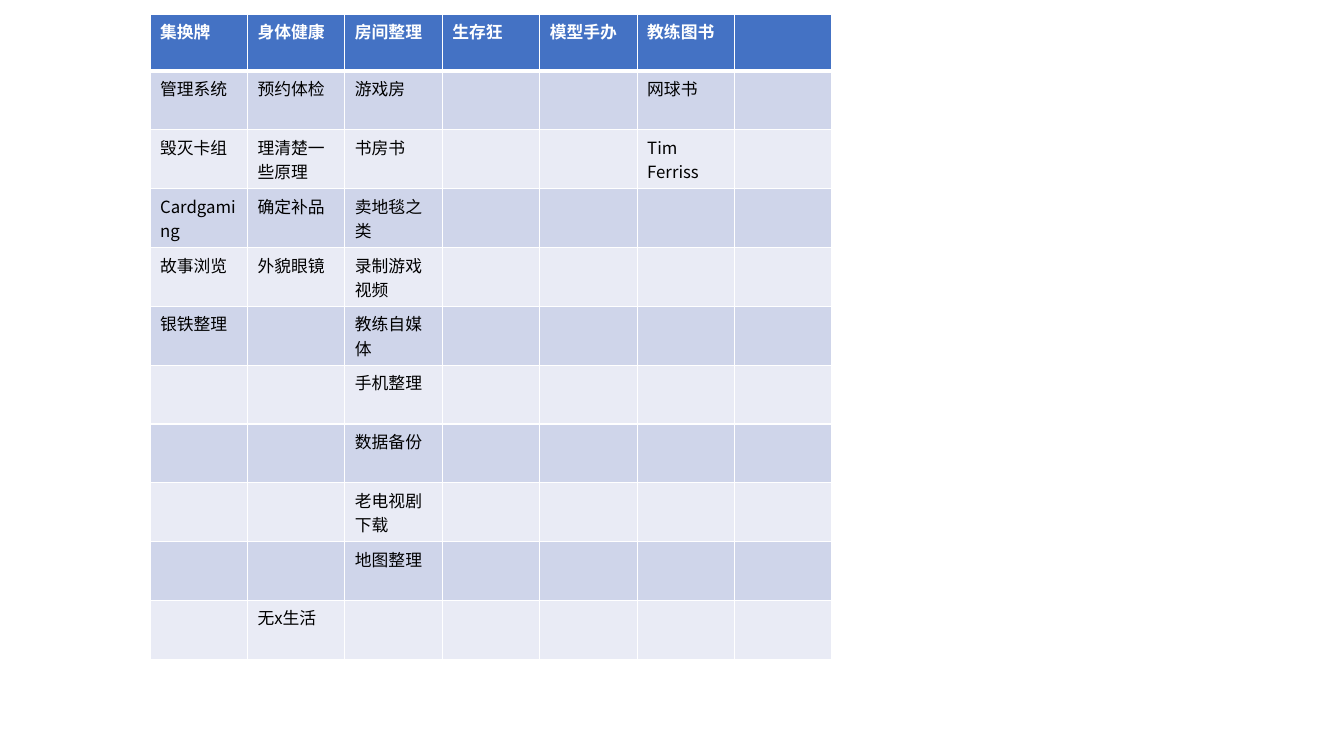
from lxml import etree
from pptx import Presentation
from pptx import util as u
from pptx.dml.color import RGBColor
from pptx.oxml.ns import qn

SCALE = 914400 / 100.8
FONT = "Noto Sans CJK SC"
WHITE = RGBColor(0xFF, 0xFF, 0xFF)
BLACK = RGBColor(0x00, 0x00, 0x00)
HEADER_BLUE = RGBColor(0x44, 0x72, 0xC4)
BANDS = [RGBColor(0xE9, 0xEB, 0xF5), RGBColor(0xCF, 0xD5, 0xEA)]

HEADER_FORMAT = {"name": FONT, "size": u.Pt(12), "bold": True}
BODY_FORMAT = {"name": FONT, "size": u.Pt(12), "bold": False}

LEFT, TOP, WIDTH = 150, 14, 682
HEADER_HEIGHT, BODY_HEIGHT = 57, 588

# Each list is one column: its heading, then its entries from the top down.
TASK_COLUMNS = [
    ["集换牌", "管理系统", "毁灭卡组", "Cardgaming", "故事浏览", "银铁整理"],
    ["身体健康", "预约体检", "理清楚一些原理", "确定补品", "外貌眼镜",
     "", "", "", "", "", "无x生活"],
    ["房间整理", "游戏房", "书房书", "卖地毯之类", "录制游戏视频", "教练自媒体",
     "手机整理", "数据备份", "老电视剧下载", "地图整理"],
    ["生存狂"],
    ["模型手办"],
    ["教练图书", "网球书", "Tim Ferriss"],
    [],
]
ROW_COUNT = max(len(entries) for entries in TASK_COLUMNS)


def px(value):
    return u.Emu(round(value * SCALE))


def set_borders(cell, bottom_width):
    properties = cell._tc.get_or_add_tcPr()
    for side, width in {"L": 1, "R": 1, "T": 1, "B": bottom_width}.items():
        line = etree.SubElement(properties, qn(f"a:ln{side}"), w=str(u.Pt(width)))
        fill = etree.SubElement(line, qn("a:solidFill"))
        etree.SubElement(fill, qn("a:srgbClr"), val=str(WHITE))


def write_text(cell, content, color, formats):
    run = cell.text_frame.paragraphs[0].add_run()
    run.text = content
    for name, value in formats.items():
        setattr(run.font, name, value)
    run.font.color.rgb = color
    latin = run._r.get_or_add_rPr().find(qn("a:latin"))
    latin.addnext(latin.makeelement(qn("a:ea"), {"typeface": FONT}))


def format_cell(cell, content, row):
    is_header = row == 0
    set_borders(cell, 3 if is_header else 1)
    cell.fill.solid()
    cell.fill.fore_color.rgb = HEADER_BLUE if is_header else BANDS[row % 2]
    if content:
        write_text(cell, content, WHITE if is_header else BLACK,
                   HEADER_FORMAT if is_header else BODY_FORMAT)


def add_task_table(slide):
    frame = slide.shapes.add_table(
        ROW_COUNT, len(TASK_COLUMNS), px(LEFT), px(TOP),
        px(WIDTH), px(HEADER_HEIGHT + BODY_HEIGHT))
    table = frame.table
    for column in table.columns:
        column.width = px(WIDTH / len(TASK_COLUMNS))
    for row in table.rows:
        row.height = px(BODY_HEIGHT / (ROW_COUNT - 1))
    table.rows[0].height = px(HEADER_HEIGHT)
    for column_index, entries in enumerate(TASK_COLUMNS):
        for row_index in range(ROW_COUNT):
            content = entries[row_index] if row_index < len(entries) else ""
            format_cell(table.cell(row_index, column_index), content, row_index)


def main():
    presentation = Presentation()
    presentation.slide_width = px(1344)
    presentation.slide_height = px(756)
    slide = presentation.slides.add_slide(presentation.slide_layouts[6])
    add_task_table(slide)
    presentation.save("out.pptx")


if __name__ == "__main__":
    main()
